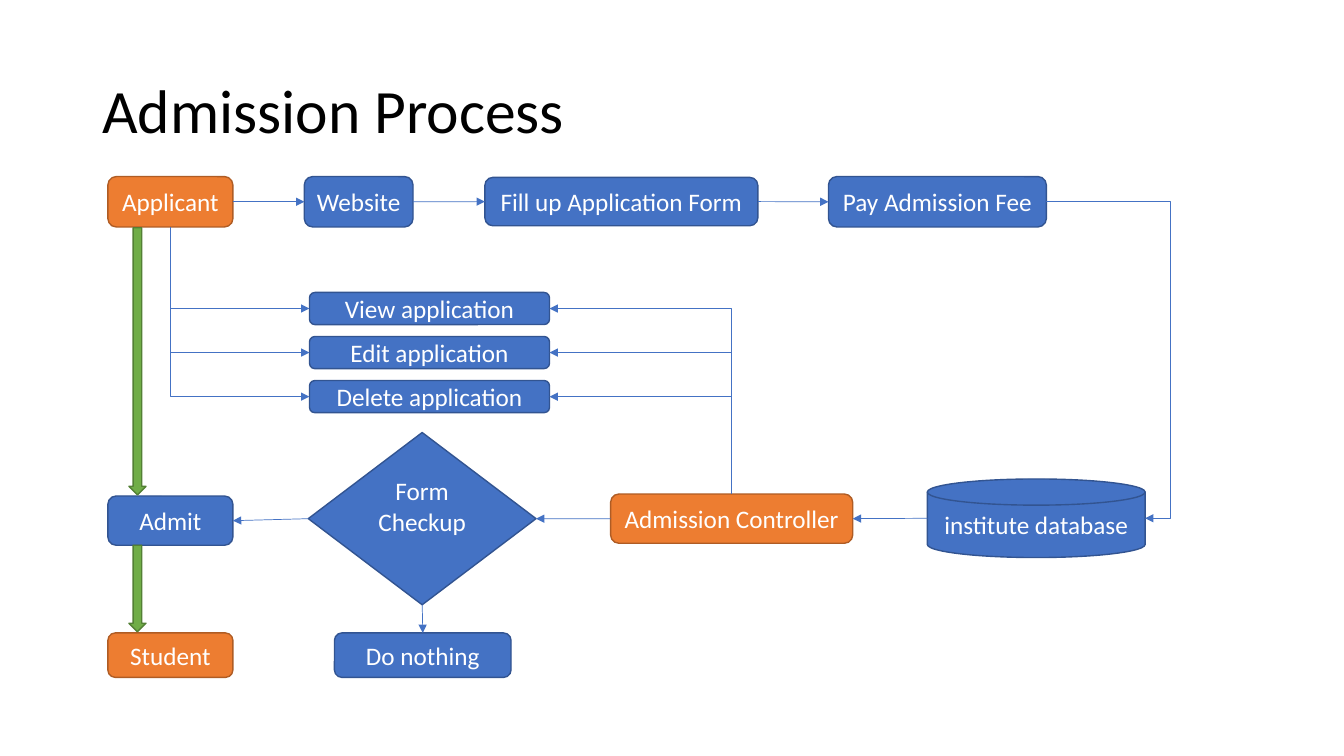
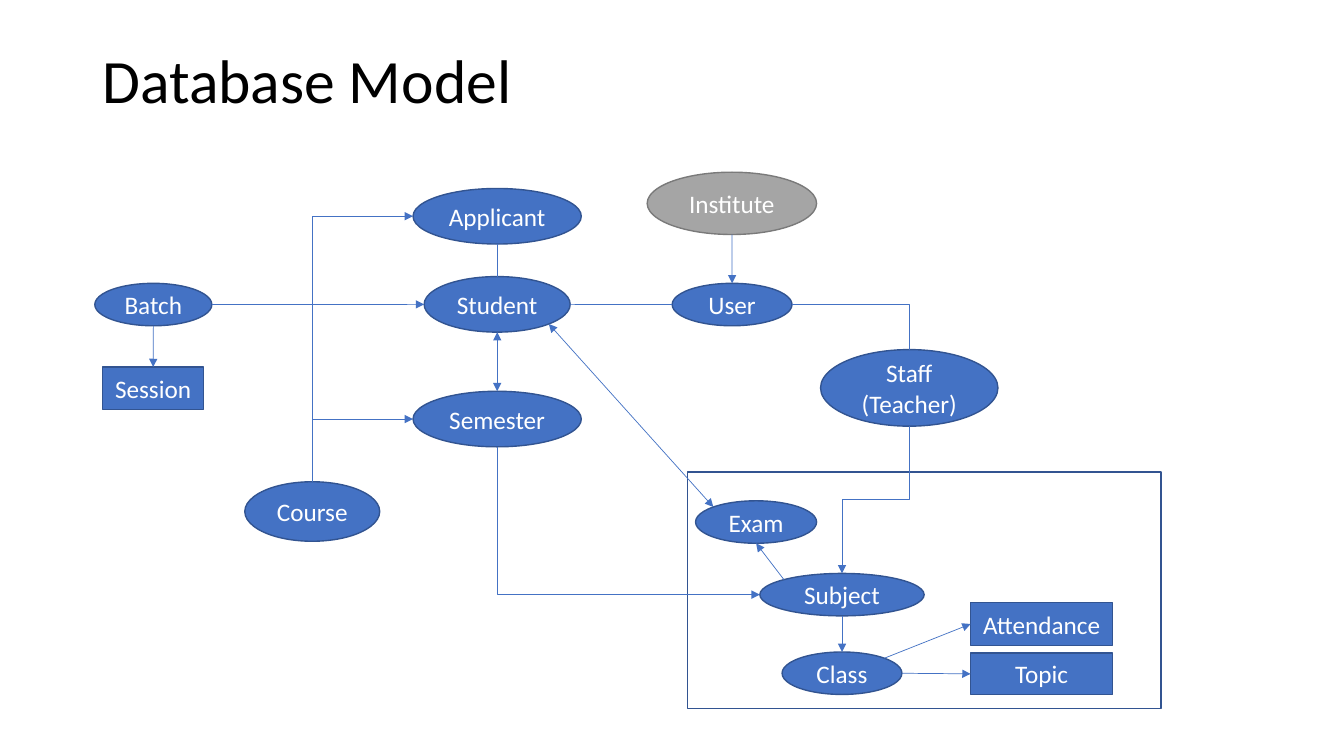
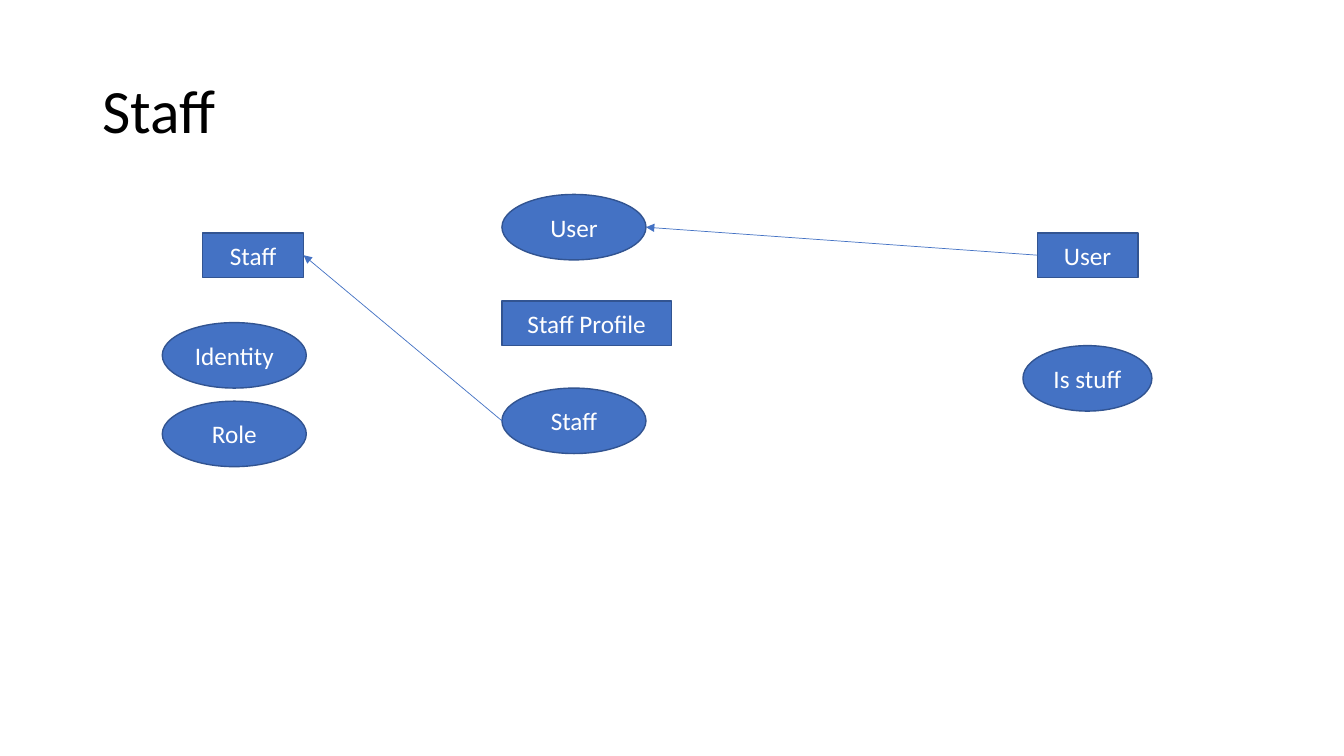
from dataclasses import dataclass
from math import sqrt

from lxml import etree
from pptx import Presentation
from pptx import util as u
from pptx.dml.color import RGBColor
from pptx.enum import shapes, text
from pptx.oxml.ns import qn

Kind = shapes.MSO_SHAPE
Wire = shapes.MSO_CONNECTOR


# Theme: colours and type sizes
@dataclass(frozen=True)
class Paint:
    fill: str | None
    line: str


@dataclass(frozen=True)
class Theme:
    font: str = "Calibri"
    ink: str = "000000"
    pale: str = "FFFFFF"
    wire: str = "4472C4"
    head: int = 44
    body: int = 18
    edge: float = 1
    thin: float = 0.5
    blue: Paint = Paint("4472C4", "325491")
    amber: Paint = Paint("ED7D31", "AF5C24")
    green: Paint = Paint("70AD47", "538035")
    grey: Paint = Paint("A5A5A5", "7A7A7A")
    clear: Paint = Paint(None, "325491")


LOOK = Theme()


# Parts: lengths in centimetres
@dataclass(frozen=True)
class Node:
    key: str
    label: str
    left: float
    top: float
    width: float
    height: float
    kind: Kind = Kind.ROUNDED_RECTANGLE
    paint: Paint = LOOK.blue
    high: bool = False  # label starts at the top of the text area


@dataclass(frozen=True)
class Link:
    start: str  # "node.side"
    end: str
    tips: tuple[str, ...] = ("tailEnd",)
    form: str = "line"
    bend: float | None = None
    turn: bool = False  # leaves vertically


@dataclass(frozen=True)
class Page:
    title: str
    depth: float
    nodes: list[Node]
    links: list[Link]


HEAD, BOTH, BARE = ("headEnd",), ("headEnd", "tailEnd"), ()
CORNER, STEP = "bentConnector2", "bentConnector3"

# Sides as offsets from the centre, in half widths and half heights
DIAG = 1 / sqrt(2)
SIDES = {"t": (0, -1), "l": (-1, 0), "b": (0, 1), "r": (1, 0),
         "tl": (-DIAG, -DIAG), "bl": (-DIAG, DIAG),
         "br": (DIAG, DIAG), "tr": (DIAG, -DIAG)}
SITES = {Kind.OVAL: ["t", "tl", "l", "bl", "b", "br", "r", "tr"],
         Kind.FLOWCHART_MAGNETIC_DISK: ["", "t", "l", "b", "r"]}
PLAIN = ["t", "l", "b", "r"]


def oval(key: str, label: str, left: float, top: float, width: float,
         height: float, paint: Paint = LOOK.blue) -> Node:
    return Node(key, label, left, top, width, height, Kind.OVAL, paint)


def box(key: str, label: str, left: float, top: float, width: float,
        height: float, paint: Paint = LOOK.blue) -> Node:
    return Node(key, label, left, top, width, height, Kind.RECTANGLE, paint)


def write(frame, words: str, size: int, tint: str, align) -> None:
    frame.word_wrap = True
    for i, line in enumerate(words.split("\n")):
        para = frame.paragraphs[0] if i == 0 else frame.add_paragraph()
        para.alignment = align
        run = para.add_run()
        run.text = line
        run.font.name = LOOK.font
        run.font.size = u.Pt(size)
        run.font.color.rgb = RGBColor.from_string(tint)


def draw_title(slide, words: str, depth: float) -> None:
    area = slide.shapes.add_textbox(u.Cm(2.33), u.Cm(1.01), u.Cm(29.21), u.Cm(depth))
    frame = area.text_frame
    frame.vertical_anchor = text.MSO_ANCHOR.MIDDLE
    write(frame, words, LOOK.head, LOOK.ink, text.PP_ALIGN.LEFT)
    frame.paragraphs[0].line_spacing = 0.9


def draw_node(slide, node: Node):
    shape = slide.shapes.add_shape(node.kind, u.Cm(node.left), u.Cm(node.top),
                                   u.Cm(node.width), u.Cm(node.height))
    shape.shadow.inherit = False
    if node.paint.fill:
        shape.fill.solid()
        shape.fill.fore_color.rgb = RGBColor.from_string(node.paint.fill)
    else:
        shape.fill.background()
    shape.line.color.rgb = RGBColor.from_string(node.paint.line)
    shape.line.width = u.Pt(LOOK.edge)
    if node.label:
        frame = shape.text_frame
        frame.vertical_anchor = text.MSO_ANCHOR.MIDDLE
        if node.high:
            frame.vertical_anchor = text.MSO_ANCHOR.TOP
            frame.margin_top = 0
        write(frame, node.label, LOOK.body, LOOK.pale, text.PP_ALIGN.CENTER)
    return shape


def find_site(name: str, nodes: dict[str, Node]) -> tuple[str, int, float, float]:
    key, side = name.split(".")
    node = nodes[key]
    dx, dy = SIDES[side]
    return (key, SITES.get(node.kind, PLAIN).index(side),
            node.left + node.width * (1 + dx) / 2,
            node.top + node.height * (1 + dy) / 2)


def draw_link(slide, link: Link, nodes: dict[str, Node], drawn: dict) -> None:
    key1, site1, x1, y1 = find_site(link.start, nodes)
    key2, site2, x2, y2 = find_site(link.end, nodes)
    if link.turn:  # swap the extents about the centre, then rotate
        mid_x, mid_y = (x1 + x2) / 2, (y1 + y2) / 2
        half_w, half_h = abs(y2 - y1) / 2, abs(x2 - x1) / 2
        x1, x2 = mid_x - half_w, mid_x + half_w
        y1, y2 = mid_y - half_h, mid_y + half_h
    wire = Wire.STRAIGHT if link.form == "line" else Wire.ELBOW
    con = slide.shapes.add_connector(wire, u.Cm(x1), u.Cm(y1), u.Cm(x2), u.Cm(y2))
    con.line.color.rgb = RGBColor.from_string(LOOK.wire)
    con.line.width = u.Pt(LOOK.thin)

    # Outline, bend and turn
    props = con._element.spPr
    geom = props.find(qn("a:prstGeom"))
    geom.set("prst", link.form)
    if link.bend is not None:
        etree.SubElement(geom.find(qn("a:avLst")), qn("a:gd"), name="adj1",
                         fmla=f"val {round(link.bend * 100000)}")
    if link.turn:
        props.find(qn("a:xfrm")).set("rot", "5400000")

    # Arrowheads, no shadow
    for tip in link.tips:
        etree.SubElement(props.find(qn("a:ln")), qn(f"a:{tip}"), type="triangle")
    etree.SubElement(props, qn("a:effectLst"))

    # Glue to both shapes
    glue = con._element.find(".//" + qn("p:cNvCxnSpPr"))
    for tag, key, site in (("a:stCxn", key1, site1), ("a:endCxn", key2, site2)):
        etree.SubElement(glue, qn(tag), id=str(drawn[key].shape_id), idx=str(site))


def draw_page(deck, page: Page) -> None:
    slide = deck.slides.add_slide(deck.slide_layouts[6])
    draw_title(slide, page.title, page.depth)
    nodes = {node.key: node for node in page.nodes}
    drawn = {key: draw_node(slide, node) for key, node in nodes.items()}
    for link in page.links:
        draw_link(slide, link, nodes, drawn)


# Admission process
TASKS = ["View", "Edit", "Delete"]
ADMIT = Page(
    "Admission Process", 3.68,
    [
        Node("seeker", "Applicant", 2.72, 4.45, 3.15, 1.27, paint=LOOK.amber),
        Node("site", "Website", 7.67, 4.45, 2.74, 1.27),
        Node("form", "Fill up Application Form", 12.22, 4.47, 6.88, 1.22),
        Node("fee", "Pay Admission Fee", 20.88, 4.45, 5.49, 1.27),
        Node("data", "institute database", 23.37, 12.07, 5.49, 1.98,
             Kind.FLOWCHART_MAGNETIC_DISK),
        Node("desk", "Admission Controller", 15.39, 12.45, 6.1, 1.24,
             paint=LOOK.amber),
        *(Node(task, f"{task} application", 7.8, 7.37 + 1.11 * i, 6.05, 0.81)
          for i, task in enumerate(TASKS)),
        Node("check", "Form Checkup", 7.77, 10.9, 5.74, 4.34, Kind.DIAMOND,
             high=True),
        Node("admit", "Admit", 2.72, 12.5, 3.15, 1.24),
        Node("none", "Do nothing", 8.43, 15.95, 4.45, 1.12),
        Node("pupil", "Student", 2.72, 15.95, 3.15, 1.12, paint=LOOK.amber),
        *(Node(f"down{top}", "", 3.25, top, 0.43, height, Kind.DOWN_ARROW,
               LOOK.green)
          for top, height in ((5.74, 6.73), (13.74, 2.18))),
    ],
    [
        Link("seeker.r", "site.l"),
        Link("site.r", "form.l"),
        Link("form.r", "fee.l"),
        Link("fee.r", "data.r", form=STEP, bend=1.26),
        Link("data.l", "desk.r"),
        Link("desk.l", "check.r"),
        Link("check.l", "admit.r"),
        Link("check.b", "none.t"),
        *(Link(f"{task}.{side}", goal, HEAD, CORNER)
          for task in TASKS
          for side, goal in (("l", "seeker.b"), ("r", "desk.t"))),
    ],
)

# Database model
MODEL = Page(
    "Database Model", 2.18,
    [
        oval("batch", "Batch", 2.39, 7.14, 2.95, 1.07),
        oval("course", "Course", 6.17, 12.14, 3.4, 1.5),
        box("term", "Session", 2.59, 9.25, 2.54, 1.07),
        oval("pupil", "Student", 10.69, 6.97, 3.68, 1.4),
        oval("exam", "Exam", 17.53, 12.62, 3.05, 1.07),
        oval("seeker", "Applicant", 10.41, 4.75, 4.24, 1.4),
        oval("user", "User", 16.94, 7.14, 3.02, 1.07),
        box("roll", "Attendance", 24.46, 15.19, 3.58, 1.07),
        oval("subject", "Subject", 19.15, 14.45, 4.14, 1.07),
        oval("class", "Class", 19.71, 16.43, 3.02, 1.07),
        oval("school", "Institute", 16.31, 4.34, 4.27, 1.57, LOOK.grey),
        oval("staff", "Staff\n(Teacher)", 20.68, 8.81, 4.47, 1.93),
        box("topic", "Topic", 24.46, 16.46, 3.58, 1.04),
        oval("half", "Semester", 10.41, 9.86, 4.24, 1.4),
        box("frame", "", 17.32, 11.89, 11.94, 5.97, LOOK.clear),
    ],
    [
        Link("batch.r", "pupil.l"),
        Link("batch.b", "term.t"),
        Link("seeker.l", "course.t", HEAD, CORNER),
        Link("half.l", "course.t", HEAD, CORNER),
        Link("seeker.b", "pupil.t", BARE),
        Link("half.t", "pupil.b", BOTH),
        Link("user.l", "pupil.r", BARE),
        Link("school.b", "user.t"),
        Link("user.r", "staff.t", BARE, CORNER),
        Link("staff.b", "subject.t", form=STEP, bend=0.5, turn=True),
        Link("pupil.br", "exam.tl", BOTH),
        Link("subject.l", "half.b", HEAD, CORNER),
        Link("subject.tl", "exam.b"),
        Link("subject.b", "class.t"),
        Link("class.tr", "roll.l"),
        Link("class.r", "topic.l"),
    ],
)

# Staff
STAFF = Page(
    "Staff", 3.68,
    [
        box("staff", "Staff", 5.11, 5.87, 2.54, 1.12),
        box("file", "Staff Profile", 12.65, 7.59, 4.27, 1.12),
        box("user", "User", 26.14, 5.87, 2.54, 1.12),
        oval("flag", "Is stuff", 25.78, 8.71, 3.25, 1.65),
        oval("name", "Identity", 4.09, 8.13, 3.63, 1.65),
        oval("role", "Role", 4.09, 10.11, 3.63, 1.65),
        oval("to_staff", "Staff", 12.65, 9.78, 3.63, 1.65),
        oval("to_user", "User", 12.65, 4.9, 3.63, 1.65),
    ],
    [
        Link("user.l", "to_user.r"),
        Link("to_staff.l", "staff.r"),
    ],
)


def main() -> None:
    deck = Presentation()
    deck.slide_width, deck.slide_height = u.Cm(33.87), u.Cm(19.05)
    for page in (ADMIT, MODEL, STAFF):
        draw_page(deck, page)
    deck.save("out.pptx")


if __name__ == "__main__":
    main()
